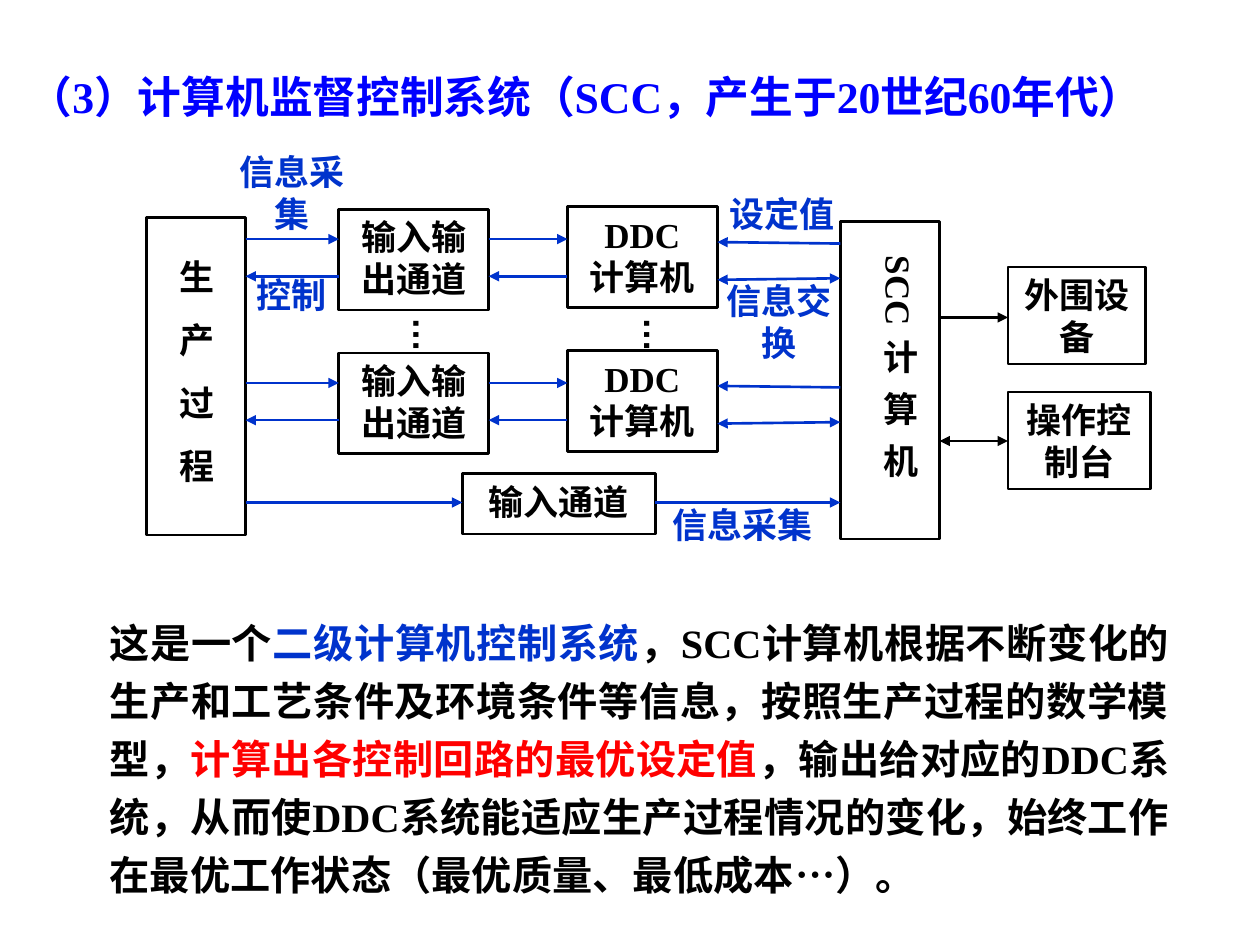
import pptx
import pptx.dml.color
import pptx.enum.shapes
import pptx.enum.text
import pptx.oxml.ns
import pptx.util
from lxml import etree

Cm = pptx.util.Cm
Align = pptx.enum.text.PP_ALIGN
Anchor = pptx.enum.text.MSO_ANCHOR
SERIF = "Times New Roman"
BLACK, BLUE, TITLE_BLUE, RED = "000000", "0033CC", "0000FF", "FF0000"
INSETS = (0.25, 0.13, 0.25, 0.13)
BOX_INSETS = (0.15, 0.13, 0.15, 0.13)

# Diagram columns (left and right edges) and rows
PROCESS_LEFT, PROCESS_RIGHT = 2.95, 4.95
CHANNEL_LEFT, CHANNEL_RIGHT = 6.83, 9.85
DDC_LEFT, DDC_RIGHT = 11.44, 14.46
SCC_LEFT, SCC_RIGHT = 16.94, 18.94
OUTER_LEFT = 20.32
INPUT_LEFT, INPUT_RIGHT = 9.32, 13.21
LOOP_PITCH = 2.9
INPUT_ROW = 10.13


def rgb(value):
    return pptx.dml.color.RGBColor.from_string(value)


def add_child(parent, tag, **attributes):
    return etree.SubElement(parent, pptx.oxml.ns.qn(tag), **attributes)


def write(shape, lines, size=20, align=Align.LEFT, font=SERIF, spacing=None,
          insets=INSETS, anchor=Anchor.TOP, vertical=False):
    """Fill a shape; each line is a list of (text, colour) spans."""
    frame = shape.text_frame
    frame.word_wrap = True
    frame.vertical_anchor = anchor
    (frame.margin_left, frame.margin_top,
     frame.margin_right, frame.margin_bottom) = map(Cm, insets)
    if vertical:
        frame._txBody.bodyPr.set("vert", "eaVert")
    for number, line in enumerate(lines):
        para = frame.add_paragraph() if number else frame.paragraphs[0]
        para.alignment = align
        para.line_spacing = spacing
        para.font.name = font
        para.font.size = pptx.util.Pt(size)
        para.font.bold = True
        for text, colour in line:
            span = para.add_run()
            span.text = text
            span.font.color.rgb = rgb(colour)
    return frame


def add_text(page, left, top, width, height, lines, **style):
    box = page.shapes.add_textbox(Cm(left), Cm(top), Cm(width), Cm(height))
    return write(box, lines, **style)


def add_label(page, left, top, width, height, text, align=Align.CENTER):
    add_text(page, left, top, width, height, [[(text, BLUE)]], align=align)


def add_box(page, left, top, width, height, texts, align=Align.CENTER,
            insets=BOX_INSETS, **style):
    box = page.shapes.add_shape(pptx.enum.shapes.MSO_SHAPE.RECTANGLE,
                                Cm(left), Cm(top), Cm(width), Cm(height))
    box.shadow.inherit = False
    box.fill.background()
    box.line.color.rgb = rgb(BLACK)
    box.line.width = pptx.util.Pt(1.5)
    lines = [[(text, BLACK)] for text in texts]
    return write(box, lines, align=align, insets=insets, **style)


def add_arrow(page, x1, y1, x2, y2, colour=BLUE, both=False):
    arrow = page.shapes.add_connector(
        pptx.enum.shapes.MSO_CONNECTOR.STRAIGHT, Cm(x1), Cm(y1), Cm(x2), Cm(y2))
    arrow.line.color.rgb = rgb(colour)
    arrow.line.width = pptx.util.Pt(1.5)
    outline = arrow.line._get_or_add_ln()
    if both:
        add_child(outline, "a:headEnd", type="triangle")
    add_child(outline, "a:tailEnd", type="triangle")
    add_child(arrow._element.spPr, "a:effectLst")


def add_loop(page, shift):
    """One control loop: channel and DDC boxes with their arrows."""
    add_box(page, CHANNEL_LEFT, 4.22 + shift, 3.02, 2.03, ["输入输出通道"])
    add_box(page, DDC_LEFT, 4.17 + shift, 3.02, 2.03, ["DDC", "计算机"])
    for left, right in ((PROCESS_RIGHT, CHANNEL_LEFT), (CHANNEL_RIGHT, DDC_LEFT)):
        add_arrow(page, left, 4.82 + shift, right, 4.82 + shift)
        add_arrow(page, right, 5.57 + shift, left, 5.57 + shift)
    add_arrow(page, SCC_LEFT, 4.91 + shift, DDC_RIGHT, 4.88 + shift)
    add_arrow(page, SCC_LEFT, 5.61 + shift, DDC_RIGHT, 5.64 + shift, both=True)


def add_end_blocks(page):
    add_box(page, PROCESS_LEFT, 4.39, 2, 6.4, ["生产过程"], align=Align.LEFT,
            spacing=1.5, insets=(0.66, 0.33, 0.25, 0.13))
    scc = add_box(page, SCC_LEFT, 4.47, 2, 6.4, ["SCC"], align=Align.LEFT,
                  insets=(0.4, 0.69, 0.38, 0.25), vertical=True)
    spaced = scc.paragraphs[0].add_run()
    spaced.text = " 计 算 机"
    spaced.font.color.rgb = rgb(BLACK)
    spaced._r.get_or_add_rPr().set("spc", "250")


def add_outer_blocks(page):
    add_box(page, OUTER_LEFT, 5.38, 2.77, 1.96, ["外围设备"], anchor=Anchor.TOP)
    add_box(page, OUTER_LEFT, 7.9, 2.87, 1.96, ["操作控制台"], anchor=Anchor.TOP)
    add_arrow(page, SCC_RIGHT, 6.4, OUTER_LEFT, 6.4, BLACK)
    add_arrow(page, OUTER_LEFT, 8.89, SCC_RIGHT, 8.89, BLACK, both=True)


def add_input_row(page):
    add_box(page, INPUT_LEFT, 9.55, INPUT_RIGHT - INPUT_LEFT, 1.22, ["输入通道"])
    add_arrow(page, PROCESS_RIGHT, INPUT_ROW, INPUT_LEFT, INPUT_ROW)
    add_arrow(page, INPUT_RIGHT, INPUT_ROW, SCC_LEFT, INPUT_ROW)


def add_labels(page):
    add_label(page, 4.56, 2.9, 2.65, 1.96, "信息采集")
    add_label(page, 4.56, 5.38, 2.65, 1.12, "控制")
    add_label(page, 14.2, 3.76, 3.12, 1.12, "设定值")
    add_label(page, 14.33, 5.51, 2.74, 1.96, "信息交换")
    add_label(page, 13.31, 10.03, 3.76, 1.12, "信息采集", Align.LEFT)
    for left in (7.82, 12.47):
        add_text(page, left, 6.15, 1.35, 1.37, [[("…", BLACK)]], font="Arial",
                 insets=(0.13, 0.25, 0.13, 0.25), vertical=True)


def add_explanation(page):
    spans = [
        ("这是一个", BLACK),
        ("二级计算机控制系统", BLUE),
        ("，SCC计算机根据不断变化的生产和工艺条件及环境条件等信息，"
         "按照生产过程的数学模型，", BLACK),
        ("计算出各控制回路的最优设定值", RED),
        ("，输出给对应的DDC系统，从而使DDC系统能适应生产过程情况的变化，"
         "始终工作在最优工作状态（最优质量、最低成本", BLACK),
        ("…", BLACK),
        ("）。", BLACK),
    ]
    frame = add_text(page, 1.96, 12.14, 21.87, 6.1, [spans], size=23,
                     align=Align.JUSTIFY, spacing=1.2)
    frame.paragraphs[0].runs[-2].font.name = "Arial"


def main():
    deck = pptx.Presentation()
    deck.slide_width, deck.slide_height = Cm(25.4), Cm(19.05)
    page = deck.slides.add_slide(deck.slide_layouts[6])
    title = "（3）计算机监督控制系统（SCC，产生于20世纪60年代）"
    add_text(page, 0.33, 0.74, 23.01, 2.39, [[(title, TITLE_BLUE)]],
             size=25, anchor=Anchor.MIDDLE)
    add_end_blocks(page)
    for row in range(2):
        add_loop(page, row * LOOP_PITCH)
    add_input_row(page)
    add_outer_blocks(page)
    add_labels(page)
    add_explanation(page)
    deck.save("out.pptx")


if __name__ == "__main__":
    main()
